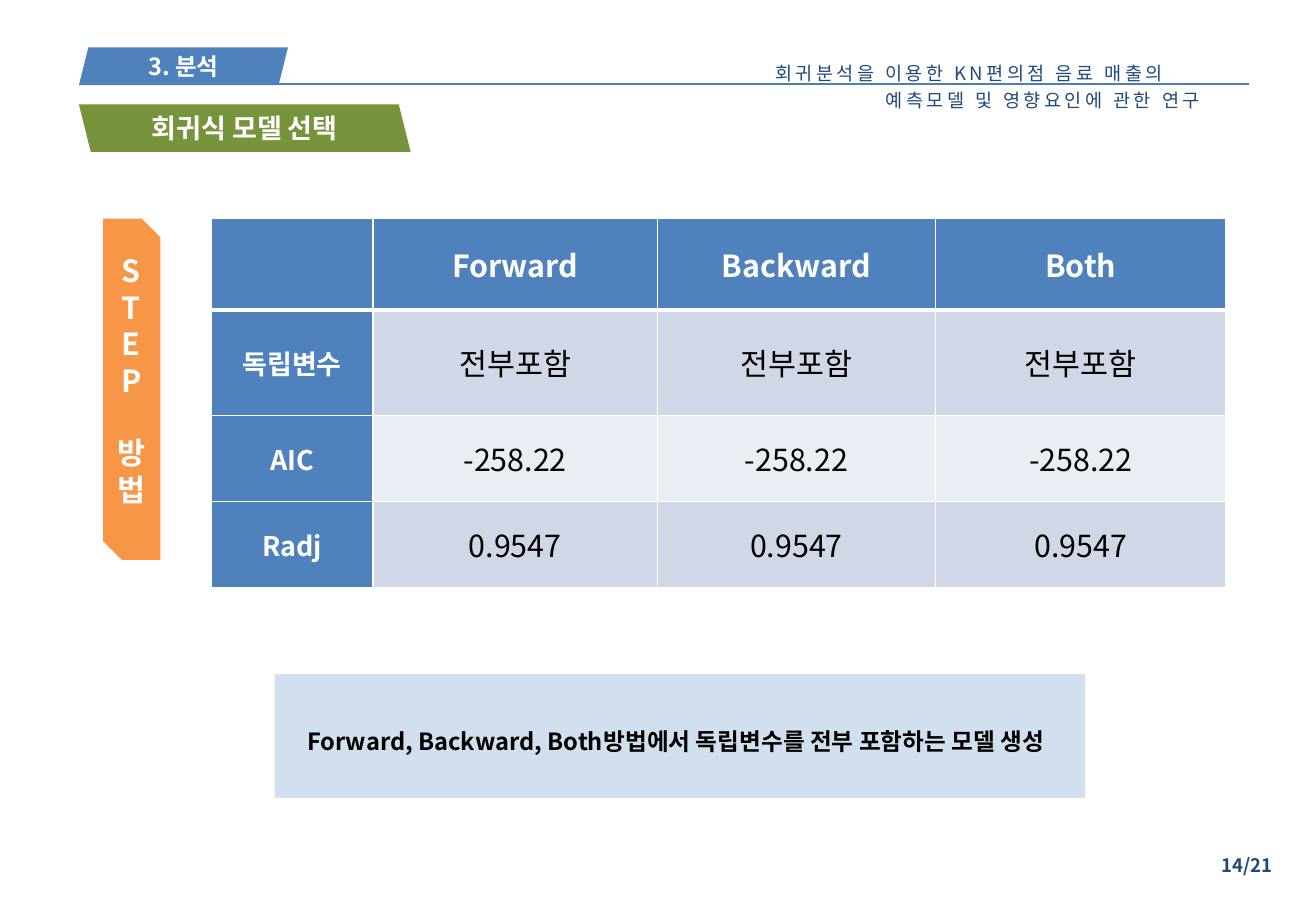
from dataclasses import dataclass, field
from typing import Any

from lxml import etree
from pptx import Presentation
from pptx import util as u
from pptx.dml.color import RGBColor
from pptx.enum import shapes, text
from pptx.oxml import ns


@dataclass(frozen=True)
class Theme:
    font: str = "Noto Sans CJK KR"
    blue: str = "4F81BD"
    rule: str = "4B7EBC"
    navy: str = "1F497D"
    green: str = "77933C"
    orange: str = "F79646"
    white: str = "FFFFFF"
    black: str = "000000"
    bands: tuple[str, str] = ("D0D8E8", "E9EDF4")
    small: float = 11
    body: float = 14
    label: float = 16
    large: float = 18


THEME = Theme()
SHAPE = shapes.MSO_SHAPE
LEFT, CENTER, RIGHT = text.PP_ALIGN.LEFT, text.PP_ALIGN.CENTER, text.PP_ALIGN.RIGHT
MIDDLE = text.MSO_ANCHOR.MIDDLE


@dataclass(frozen=True)
class Style:
    size: float
    color: str = THEME.white
    bold: bool = True
    align: Any = CENTER
    tracking: int = 0


@dataclass(frozen=True)
class Panel:
    """A filled shape, with an optional line of text."""
    box: tuple[float, float, float, float]
    kind: Any
    fill: str
    words: str = ""
    size: float = THEME.body
    flip: bool = False
    opacity: int = 100
    adjust: tuple[float, ...] = ()


@dataclass(frozen=True)
class Note:
    """A text box; paragraph formats are keyed by line number."""
    box: tuple[float, float, float, float]
    lines: tuple[str, ...]
    style: Style
    spacing: Any = None
    wrap: bool = True
    anchor: Any = text.MSO_ANCHOR.TOP
    formats: dict[int, dict[str, Any]] = field(default_factory=dict)
    indents: dict[int, float] = field(default_factory=dict)


def apply(target: Any, values: dict[str, Any]) -> None:
    for name, value in values.items():
        setattr(target, name, value)


def inches(values: tuple[float, ...]) -> list[int]:
    return [u.Inches(value) for value in values]


def paint(target: Any, color: str) -> None:
    target.fill.solid()
    target.fill.fore_color.rgb = RGBColor.from_string(color)


def write(paragraph: Any, words: str, style: Style) -> None:
    paragraph.alignment = style.align
    run = paragraph.add_run()
    run.text = words
    apply(run.font, {"size": u.Pt(style.size), "bold": style.bold, "name": THEME.font})
    run.font.color.rgb = RGBColor.from_string(style.color)
    properties = run.font._element
    etree.SubElement(properties, ns.qn("a:ea")).set("typeface", THEME.font)
    if style.tracking:
        properties.set("spc", str(style.tracking))


def draw_panel(slide: Any, panel: Panel) -> None:
    shape = slide.shapes.add_shape(panel.kind, *inches(panel.box))
    shape.shadow.inherit = False
    paint(shape, panel.fill)
    shape.line.fill.background()
    for index, value in enumerate(panel.adjust):
        shape.adjustments[index] = value
    if panel.flip:
        shape._element.spPr.find(ns.qn("a:xfrm")).set("flipH", "1")
    if panel.opacity < 100:
        color = shape._element.spPr.find(ns.qn("a:solidFill"))[0]
        etree.SubElement(color, ns.qn("a:alpha")).set("val", str(panel.opacity * 1000))
    if panel.words:
        shape.text_frame.vertical_anchor = MIDDLE
        write(shape.text_frame.paragraphs[0], panel.words, Style(panel.size))


def draw_note(slide: Any, note: Note) -> None:
    frame = slide.shapes.add_textbox(*inches(note.box)).text_frame
    apply(frame, {"word_wrap": note.wrap, "vertical_anchor": note.anchor})
    for index, line in enumerate(note.lines):
        paragraph = frame.add_paragraph() if index else frame.paragraphs[0]
        write(paragraph, line, note.style)
        apply(paragraph, {"line_spacing": note.spacing} | note.formats.get(index, {}))
        if index in note.indents:
            margin = str(u.Inches(note.indents[index]))
            paragraph._p.get_or_add_pPr().set("marL", margin)


def draw_rule(slide: Any, start: tuple[float, float], end: tuple[float, float]) -> None:
    rule = slide.shapes.add_connector(
        shapes.MSO_CONNECTOR.STRAIGHT, *inches(start + end))
    rule.line.color.rgb = RGBColor.from_string(THEME.rule)
    rule.line.width = u.Pt(1)
    etree.SubElement(rule._element.spPr, ns.qn("a:effectLst"))


def border(cell: Any, widths: dict[str, float]) -> None:
    properties = cell._tc.get_or_add_tcPr()
    for side, width in widths.items():
        line = etree.SubElement(properties, ns.qn(f"a:ln{side}"), w=str(u.Pt(width)))
        fill = etree.SubElement(line, ns.qn("a:solidFill"))
        etree.SubElement(fill, ns.qn("a:srgbClr")).set("val", THEME.white)


def draw_table(slide: Any, box: tuple[float, float, float, float],
               widths: tuple[float, ...], heights: tuple[float, ...],
               rows: list[list[str]]) -> None:
    table = slide.shapes.add_table(len(rows), len(widths), *inches(box)).table
    for column, width in zip(table.columns, inches(widths)):
        column.width = width
    for row, height in zip(table.rows, inches(heights)):
        row.height = height
    for r, values in enumerate(rows):
        for c, value in enumerate(values):
            cell = table.cell(r, c)
            heading = r == 0 or c == 0
            border(cell, {"L": 1, "R": 1, "T": 3 if r == 1 else 1, "B": 1 if r else 3})
            paint(cell, THEME.blue if heading else THEME.bands[(r - 1) % 2])
            cell.vertical_anchor = MIDDLE
            if value:
                size = THEME.label if c == 0 else THEME.large
                color = THEME.white if heading else THEME.black
                write(cell.text_frame.paragraphs[0], value, Style(size, color, heading))


deck = Presentation()
apply(deck, {"slide_width": u.Inches(10.83), "slide_height": u.Inches(7.5)})
slide = deck.slides.add_slide(deck.slide_layouts[6])

# Running header and page number
draw_note(slide, Note(
    (6.28, 0.42, 4.13, 0.53),
    ("회귀분석을 이용한 KN편의점 음료 매출의", "예측모델 및 영향요인에 관한 연구"),
    Style(THEME.small, THEME.navy, False, LEFT, 200),
    spacing=u.Pt(16), indents={1: 0.91}))
draw_note(slide, Note((8.23, 6.98, 2.34, 0.29), ("14/21",),
                      Style(THEME.small, THEME.navy, align=RIGHT)))
draw_panel(slide, Panel((0.65, 0.39, 1.72, 0.31), SHAPE.PARALLELOGRAM,
                        THEME.blue, "3. 분석"))
draw_rule(slide, (2.21, 0.69), (10.28, 0.69))

# Model comparison
METHODS = ["Forward", "Backward", "Both"]
RESULTS = {"독립변수": "전부포함", "AIC": "-258.22", "Radj": "0.9547"}
draw_table(slide, (1.74, 1.8, 8.35, 3.04), (1.33, 2.34, 2.29, 2.39),
           (0.75, 0.87, 0.71, 0.71),
           [["", *METHODS]] + [[name] + [value] * len(METHODS)
                               for name, value in RESULTS.items()])

# Section title, step tab and conclusion band
for panel in (
    Panel((2.26, 5.55, 6.67, 1.02), SHAPE.RECTANGLE, THEME.blue, opacity=25),
    Panel((0.65, 0.86, 2.73, 0.39), SHAPE.PARALLELOGRAM, THEME.green,
          "회귀식 모델 선택", THEME.label, flip=True),
    Panel((0.85, 1.8, 0.47, 2.81), SHAPE.SNIP_2_DIAG_RECTANGLE, THEME.orange,
          adjust=(0, 0.325)),
):
    draw_panel(slide, panel)

# Step label and conclusion
draw_note(slide, Note((0.86, 2.03, 0.44, 2.5), tuple("STEP방법"), Style(THEME.large),
                      wrap=False, formats={4: {"space_before": u.Pt(21.5)}}))
draw_note(slide, Note(
    (2.43, 5.64, 6.27, 0.81),
    ("Forward, Backward, Both방법에서 독립변수를 전부 포함하는 모델 생성",),
    Style(THEME.body, THEME.black, align=LEFT), spacing=1.5, anchor=MIDDLE))

deck.save("out.pptx")
